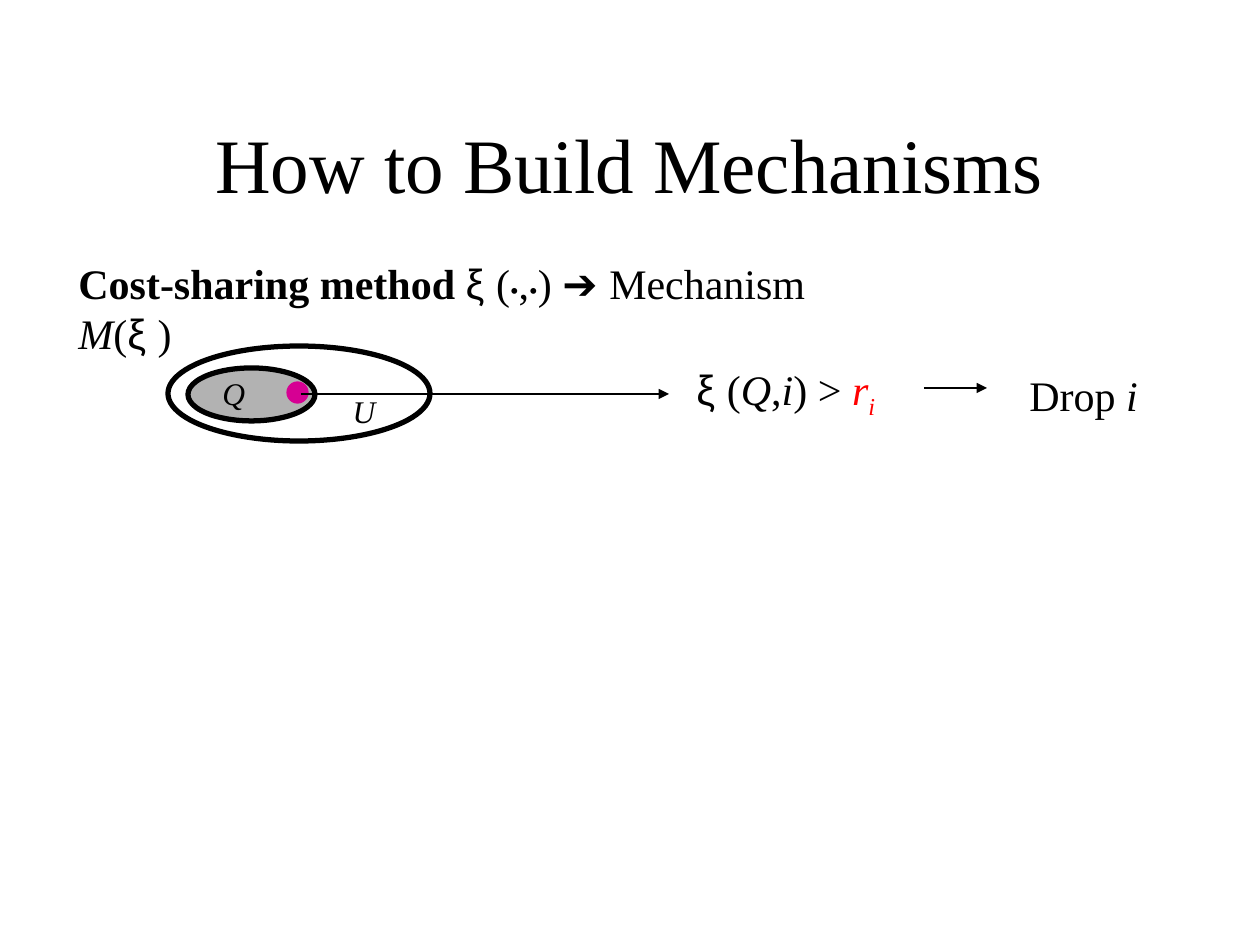
import dataclasses

import lxml.etree
import pptx
import pptx.dml.color
import pptx.enum.shapes
import pptx.enum.text
import pptx.oxml.ns
import pptx.util

PX = 914400 / 126  # EMU in one px


@dataclasses.dataclass(frozen=True)
class Theme:
    text: str = "000000"
    set_fill: str = "B2B2B2"
    player: str = "D60093"
    bid: str = "FF0000"
    serif: str = "Times New Roman"
    sans: str = "Arial"
    title_size: int = 44
    body_size: int = 24
    label_size: int = 18
    dot_size: int = 14
    thick: float = 3
    thin: float = 0.75


THEME = Theme()


@dataclasses.dataclass(frozen=True)
class Box:
    left: int
    top: int
    width: int
    height: int

    def inner(self, left, top, width, height):
        return Box(self.left + left, self.top + top, width, height)

    def emu(self):
        return [emu(value) for value in dataclasses.astuple(self)]


def emu(pixels):
    return pptx.util.Emu(round(pixels * PX))


def rgb(color):
    return pptx.dml.color.RGBColor.from_string(color)


def write_runs(paragraph, runs, size):
    """Each run is its text and the format that differs from plain text."""
    for text, style in runs:
        run = paragraph.add_run()
        run.text = text
        run.font.name = style.get("font", THEME.serif)
        run.font.size = pptx.util.Pt(style.get("size", size))
        run.font.bold = style.get("bold", False)
        run.font.italic = style.get("italic", False)
        run.font.color.rgb = rgb(style.get("color", THEME.text))
        if style.get("subscript"):
            run.font._element.set("baseline", "-25000")


def add_text(shapes, box, runs, size=THEME.body_size, alignment=pptx.enum.text.PP_ALIGN.LEFT):
    frame = shapes.add_textbox(*box.emu()).text_frame
    frame.word_wrap = False
    frame.auto_size = pptx.enum.text.MSO_AUTO_SIZE.SHAPE_TO_FIT_TEXT
    frame.paragraphs[0].alignment = alignment
    write_runs(frame.paragraphs[0], runs, size)


def add_ellipse(shapes, box, fill=None, line=THEME.text, width=THEME.thick):
    ellipse = shapes.add_shape(pptx.enum.shapes.MSO_SHAPE.OVAL, *box.emu())
    ellipse.shadow.inherit = False
    if fill:
        ellipse.fill.solid()
        ellipse.fill.fore_color.rgb = rgb(fill)
    else:
        ellipse.fill.background()
    ellipse.line.color.rgb = rgb(line)
    ellipse.line.width = pptx.util.Pt(width)


def add_arrow(shapes, left, right, y):
    arrow = shapes.add_connector(
        pptx.enum.shapes.MSO_CONNECTOR.STRAIGHT, emu(left), emu(y), emu(right), emu(y)
    )
    arrow.line.color.rgb = rgb(THEME.text)
    arrow.line.width = pptx.util.Pt(THEME.thin)
    qn = pptx.oxml.ns.qn
    properties = arrow._element.spPr
    head = lxml.etree.SubElement(properties.find(qn("a:ln")), qn("a:tailEnd"))
    head.set("type", "triangle")
    lxml.etree.SubElement(properties, qn("a:effectLst"))


def add_title(slide, box):
    title = slide.shapes.title
    title.left, title.top, title.width, title.height = box.emu()
    frame = title.text_frame
    frame.auto_size = pptx.enum.text.MSO_AUTO_SIZE.NONE
    frame.vertical_anchor = pptx.enum.text.MSO_ANCHOR.MIDDLE
    frame.paragraphs[0].alignment = pptx.enum.text.PP_ALIGN.CENTER
    write_runs(frame.paragraphs[0], [("How to Build Mechanisms", {})], THEME.title_size)


def add_statement(slide, box):
    xi = ("ξ ", {"font": THEME.sans})
    dot = ("•", {"size": THEME.dot_size})
    add_text(slide.shapes, box, [
        ("Cost-sharing method ", {"bold": True}),
        xi, ("(", {}), dot, (",", {}), dot, (") ", {}),
        ("➔ ", {"font": THEME.sans}),
        ("Mechanism ", {}), ("M", {"italic": True}), ("(", {}), xi, (")", {}),
    ])


def add_player_sets(slide, box):
    italic = {"italic": True}
    # Set Q inside the universe U
    group = slide.shapes.add_group_shape()
    add_ellipse(group.shapes, box.inner(20, 22, 127, 53), THEME.set_fill)
    add_ellipse(group.shapes, box)
    add_text(group.shapes, box.inner(172, 40, 48, 50), [("U", italic)],
             THEME.label_size, pptx.enum.text.PP_ALIGN.CENTER)
    # Player i
    add_ellipse(slide.shapes, box.inner(119, 36, 21, 21),
                THEME.player, THEME.player, THEME.thin)
    add_text(slide.shapes, box.inner(42, 22, 48, 50), [("Q", italic)], THEME.label_size)


def add_drop_rule(slide, box):
    italic = {"italic": True}
    bid = {"italic": True, "color": THEME.bid}
    # From the player to the condition
    add_arrow(slide.shapes, box.left, box.left + 368, box.top + 37)
    add_text(slide.shapes, box.inner(383, 0, 210, 71), [
        ("ξ ", {"font": THEME.sans}), ("(", {}), ("Q", italic), (",", {}),
        ("i", italic), (") > ", {}), ("r", bid), ("i", {**bid, "subscript": True}),
    ])
    # From the condition to the result
    add_arrow(slide.shapes, box.left + 623, box.left + 686, box.top + 31)
    add_text(slide.shapes, box.inner(716, 6, 134, 63), [("Drop ", {}), ("i", italic)])


def main():
    presentation = pptx.Presentation()
    presentation.slide_width, presentation.slide_height = emu(1260), emu(945)
    slide = presentation.slides.add_slide(presentation.slide_layouts[5])
    add_title(slide, Box(94, 84, 1071, 158))
    add_statement(slide, Box(66, 251, 854, 71))
    add_player_sets(slide, Box(168, 346, 262, 95))
    add_drop_rule(slide, Box(301, 357, 850, 71))
    presentation.save("out.pptx")


if __name__ == "__main__":
    main()
